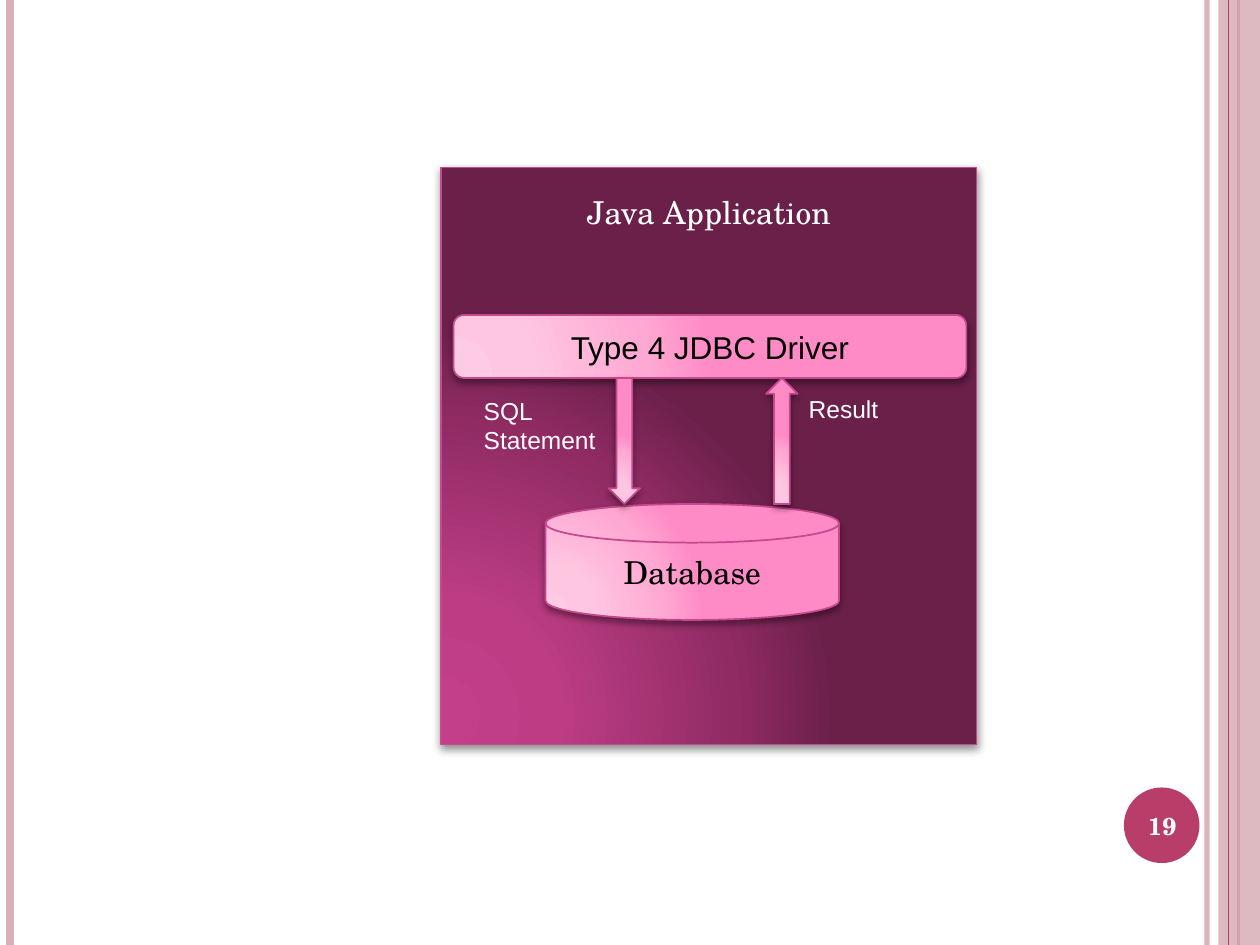
from lxml.etree import SubElement
from pptx import Presentation
from pptx.dml.color import RGBColor
from pptx.enum.shapes import MSO_CONNECTOR as CONNECTOR, MSO_SHAPE as SHAPE
from pptx.enum.text import MSO_ANCHOR as ANCHOR, PP_ALIGN as ALIGN
from pptx.oxml.ns import qn
from pptx.util import Inches, Pt

SERIF = "TeX Gyre Schola"
SANS = "Arial"
ROSE = "D8AFB9"
CRIMSON = "B83D68"
OUTLINE = "C6488F"
STOPS = (0, 30, 75, 100)
PLUM = ("C33F89", "BC3D84", "902B64", "6B204A")
PINK = ("FFCBE4", "FFC6E1", "FFA8D3", "FF8BC6")
FOCUS = {"l": 5, "t": 100, "r": 120, "b": 10}


def color(hex_value):
    return RGBColor.from_string(hex_value)


def percent(value):
    return str(value * 1000)


def add_node(parent, tag, **attributes):
    return SubElement(parent, qn(tag), attributes)


def set_opacity(element, opacity):
    tint = next(element.spPr.iter(qn("a:srgbClr")))
    add_node(tint, "a:alpha", val=percent(opacity))


def write(shape, text, size=18, font=SERIF, ink="000000", bold=False,
          align=ALIGN.CENTER, anchor=ANCHOR.MIDDLE, wrap=True):
    frame = shape.text_frame
    frame.word_wrap = wrap
    frame.vertical_anchor = anchor
    frame.text = text
    for paragraph in frame.paragraphs:
        paragraph.alignment = align
        paragraph.font.size = Pt(size)
        paragraph.font.name = font
        paragraph.font.bold = bold
        paragraph.font.color.rgb = color(ink)
    return frame


def add_stripe(shapes, x, hex_value, width, opacity=100):
    stripe = shapes.add_connector(
        CONNECTOR.STRAIGHT, Inches(x), Inches(0), Inches(x), Inches(7.5))
    stripe.line.color.rgb = color(hex_value)
    stripe.line.width = Pt(width)
    add_node(stripe.element.spPr, "a:effectLst")
    if opacity < 100:
        set_opacity(stripe.element, opacity)


def add_block(shapes, kind, box, hex_value):
    block = shapes.add_shape(kind, *map(Inches, box))
    block.shadow.inherit = False
    block.fill.solid()
    block.fill.fore_color.rgb = color(hex_value)
    block.line.fill.background()
    return block


def add_glossy(shapes, kind, box, palette=PINK, blur=4, opacity=40):
    glossy = add_block(shapes, kind, box, palette[0])
    glossy.line.color.rgb = color(OUTLINE)
    glossy.line.width = Pt(1)
    glossy.fill.gradient()

    gradient = glossy.element.spPr.find(qn("a:gradFill"))
    for child in list(gradient):
        gradient.remove(child)
    gradient.set("rotWithShape", "1")
    stop_list = add_node(gradient, "a:gsLst")
    for position, hex_value in zip(STOPS, palette):
        stop = add_node(stop_list, "a:gs", pos=percent(position))
        add_node(stop, "a:srgbClr", val=hex_value)
    circle = add_node(gradient, "a:path", path="circle")
    add_node(circle, "a:fillToRect",
             **{side: percent(value) for side, value in FOCUS.items()})

    effects = glossy.element.spPr.find(qn("a:effectLst"))
    shadow = add_node(effects, "a:outerShdw", blurRad=str(Pt(blur)),
                      dist=str(Pt(2)), dir="5400000", rotWithShape="0")
    shade = add_node(shadow, "a:srgbClr", val="000000")
    add_node(shade, "a:alpha", val=percent(opacity))
    return glossy


def add_label(shapes, text, box, **text_format):
    label = shapes.add_textbox(*map(Inches, box))
    write(label, text, size=14, ink="FFFFFF", **text_format)


def draw_frame(shapes):
    add_stripe(shapes, 9.58, ROSE, 3, opacity=93)
    add_stripe(shapes, 0.08, ROSE, 4.5)
    add_stripe(shapes, 9.83, CRIMSON, 1.5)
    side_band = add_block(shapes, SHAPE.RECTANGLE, (9.67, 0, 0.33, 7.5), ROSE)
    set_opacity(side_band.element, 87)
    add_stripe(shapes, 9.75, CRIMSON, 0.75)
    add_block(shapes, SHAPE.OVAL, (8.92, 6.25, 0.6, 0.6), CRIMSON)
    add_label(shapes, "19", (8.89, 6.27, 0.67, 0.57), bold=True)


def draw_driver_diagram(shapes):
    application = add_glossy(shapes, SHAPE.RECTANGLE, (3.5, 1.33, 4.25, 4.58),
                             palette=PLUM, blur=5, opacity=43)
    heading = write(application, "Java Application", ink="FFFFFF",
                    anchor=ANCHOR.TOP)
    heading.margin_top = Inches(0.2)

    driver = add_glossy(shapes, SHAPE.ROUNDED_RECTANGLE, (3.6, 2.5, 4.07, 0.5))
    write(driver, "Type 4 JDBC Driver", font=SANS)
    database = add_glossy(shapes, SHAPE.FLOWCHART_MAGNETIC_DISK,
                          (4.33, 4, 2.33, 0.92))
    write(database, "Database")

    for x, rotation in ((4.83, 0), (6.08, 180)):
        flow = add_glossy(shapes, SHAPE.DOWN_ARROW, (x, 3, 0.25, 1))
        flow.rotation = rotation

    for text, box in (("SQL\nStatement", (3.74, 3.09, 1.09, 0.57)),
                      ("Result", (6.32, 3.08, 0.76, 0.34))):
        add_label(shapes, text, box, font=SANS, align=ALIGN.LEFT,
                  anchor=ANCHOR.TOP, wrap=False)


def main():
    deck = Presentation()
    deck.slide_width = Inches(10)
    deck.slide_height = Inches(7.5)
    slide = deck.slides.add_slide(deck.slide_layouts[6])
    draw_frame(slide.shapes)
    draw_driver_diagram(slide.shapes.add_group_shape().shapes)
    deck.save("out.pptx")


if __name__ == "__main__":
    main()
